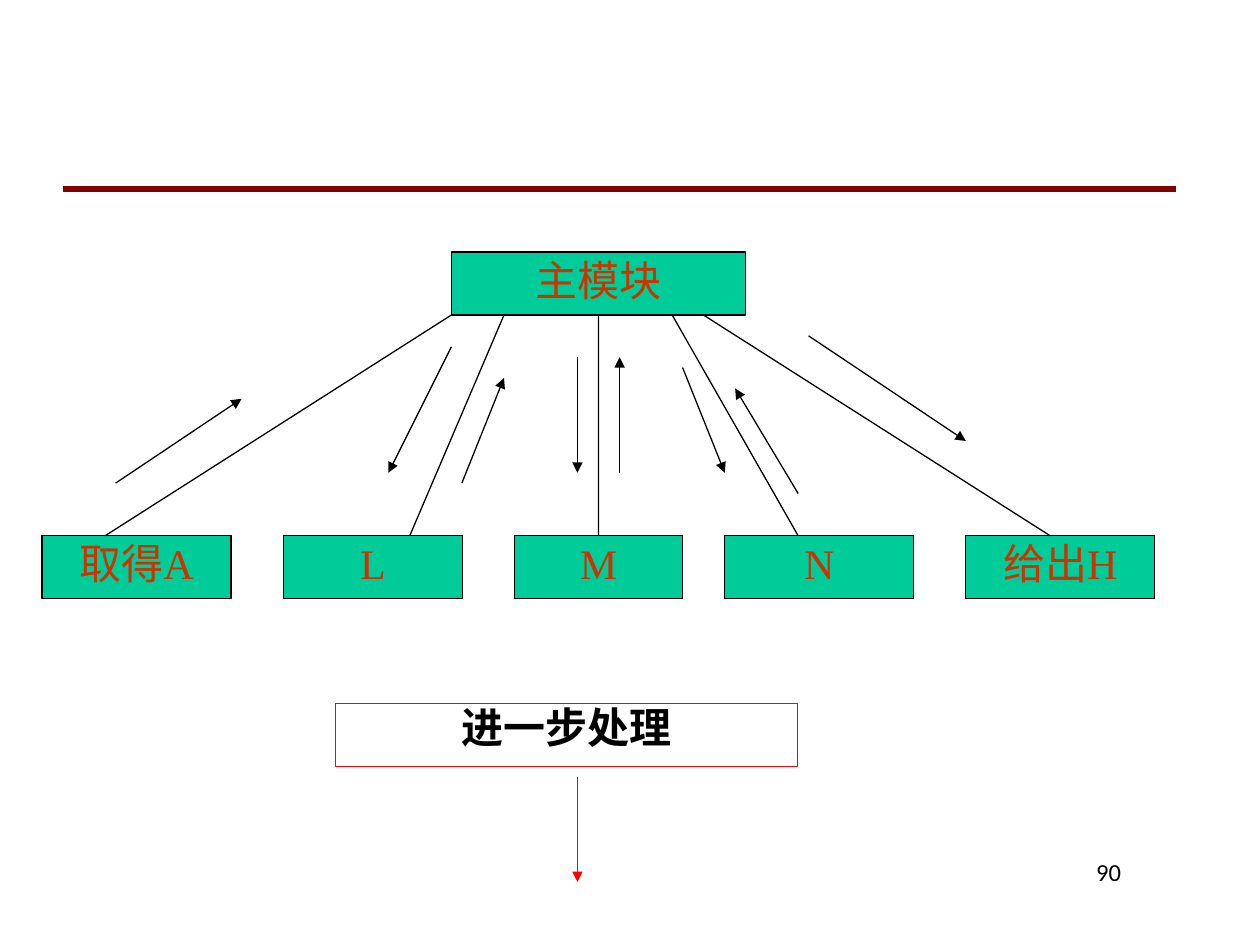
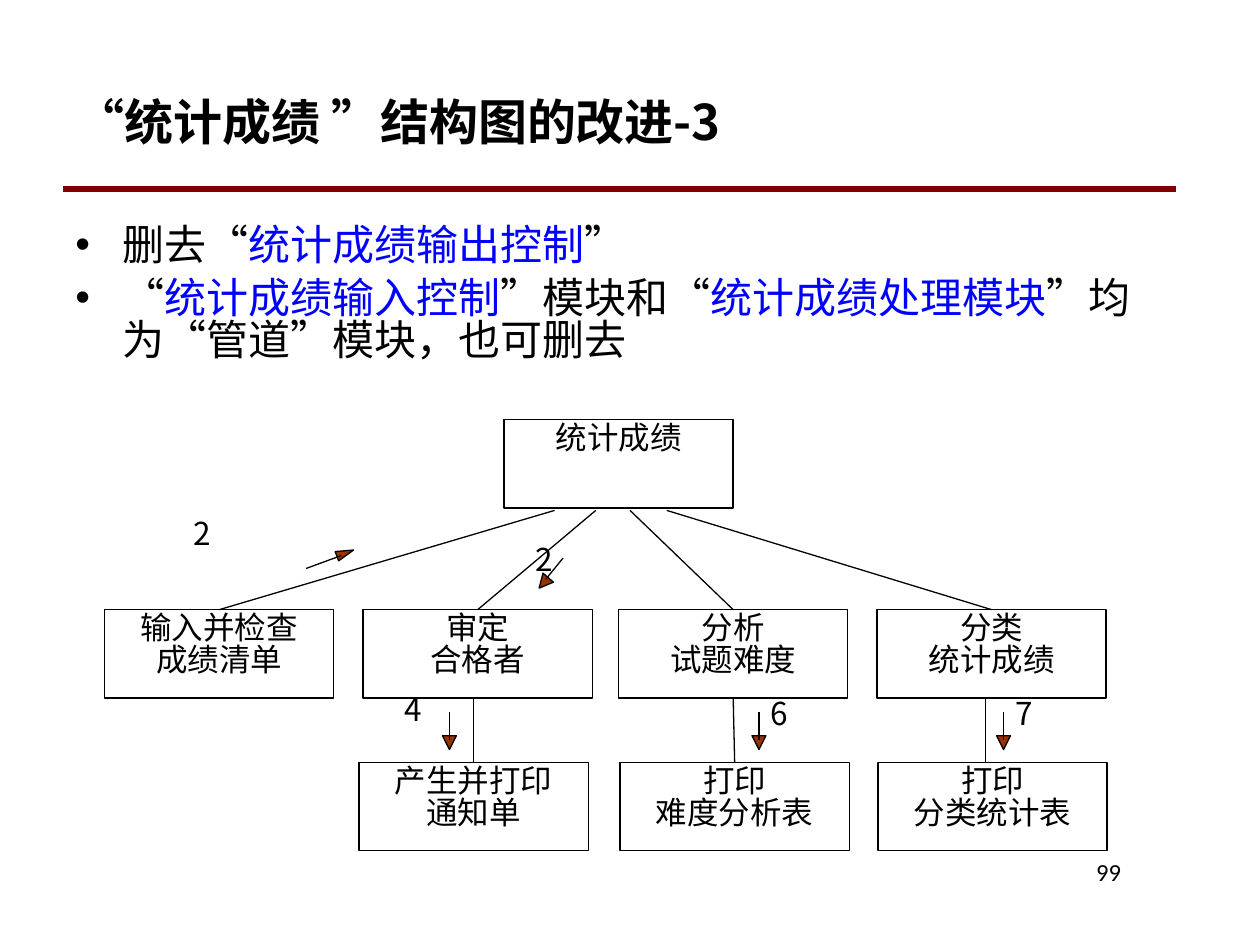
from lxml import etree
from pptx import Presentation
from pptx.dml.color import RGBColor
from pptx.enum import shapes, text
from pptx.oxml.ns import qn
from pptx.util import Cm, Pt

CJK, SERIF, SANS = "Noto Sans CJK SC", "Times New Roman", "Calibri"
BLACK, RED, BLUE = "000000", "FF0000", "0000FF"
RECT = shapes.MSO_SHAPE.RECTANGLE
TRIANGLE = shapes.MSO_SHAPE.ISOSCELES_TRIANGLE
CENTER, LEFT, RIGHT = text.PP_ALIGN.CENTER, text.PP_ALIGN.LEFT, text.PP_ALIGN.RIGHT
TOP, MIDDLE = text.MSO_ANCHOR.TOP, text.MSO_ANCHOR.MIDDLE
rgb = RGBColor.from_string


def box(s, words, x, y, w, h, size=18, font=SERIF, colour=BLACK, kind=RECT, fill=None,
        line=BLACK, bold=False, align=CENTER, anchor=TOP, inset=(0.05, 0.1)):
    """Add a preset shape, or a text box when kind is None, with its text."""
    place = Cm(x), Cm(y), Cm(w), Cm(h)
    if kind is None:
        sp = s.shapes.add_textbox(*place)
    else:
        sp = s.shapes.add_shape(kind, *place)
        sp.shadow.inherit = False
        sp.line.color.rgb = rgb(line)
        sp.line.width = Pt(0.75)
        if fill:
            sp.fill.solid()
            sp.fill.fore_color.rgb = rgb(fill)
        else:
            sp.fill.background()
    tf = sp.text_frame
    tf.word_wrap = True
    tf.vertical_anchor = anchor
    tf.margin_left = tf.margin_right = Cm(inset[0])
    tf.margin_top = tf.margin_bottom = Cm(inset[1])
    tf.text = words
    for p in tf.paragraphs:
        p.alignment = align
        for r in p.runs:
            r.font.size, r.font.name, r.font.bold = Pt(size), font, bold
            r.font.color.rgb = rgb(colour)
    return sp


def connect(s, x1, y1, x2, y2, colour=BLACK, width=0.75, arrow=False):
    c = s.shapes.add_connector(shapes.MSO_CONNECTOR.STRAIGHT, Cm(x1), Cm(y1), Cm(x2), Cm(y2))
    c.line.color.rgb = rgb(colour)
    c.line.width = Pt(width)
    if arrow:
        etree.SubElement(c.line._get_or_add_ln(), qn("a:tailEnd"), type="triangle")
    etree.SubElement(c._element.spPr, qn("a:effectLst"))
    return c


prs = Presentation()
prs.slide_width, prs.slide_height = Cm(25.4), Cm(19.05)
wide = (0.25, 0.13)

# Slide 1: main module with its five submodules
s = prs.slides.add_slide(prs.slide_layouts[6])
module = dict(h=1.27, size=24, colour="CC3300", fill="00CC99", anchor=MIDDLE, inset=wide)
main = box(s, "主模块", 9.1, 5.08, 5.93, **module)
submodules = [  # name, left, width, link start, link end
    ("取得A", 0.85, 3.81, 9.1, 2.12),
    ("L", 5.72, 3.6, 10.16, 8.26),
    ("M", 10.37, 3.39, 12.07, 12.07),
    ("N", 14.61, 3.81, 13.55, 16.09),
    ("给出H", 19.47, 3.81, 14.18, 21.17),
]
for name, x, w, x1, x2 in submodules:
    sub = box(s, name, x, 10.8, w, **module)
    link = connect(s, x1, 6.35, x2, 10.8)
    if name == "M":
        link.begin_connect(main, 2)
        link.end_connect(sub, 0)

data_flows = [
    (2.33, 9.74, 4.87, 8.04), (9.1, 6.99, 7.83, 9.53), (9.31, 9.74, 10.16, 7.62),
    (11.64, 7.2, 11.64, 9.53), (12.49, 9.53, 12.49, 7.2), (13.76, 7.41, 14.61, 9.53),
    (16.09, 9.95, 14.82, 7.83), (16.3, 6.77, 19.47, 8.89),
]
for ends in data_flows:
    connect(s, *ends, arrow=True)

box(s, "进一步处理", 6.77, 14.18, 9.31, 1.27, 24, line=RED, bold=True, inset=wide)
connect(s, 11.64, 15.66, 11.64, 17.78, RED, arrow=True)

# Slide 2: improved structure chart
s = prs.slides.add_slide(prs.slide_layouts[5])
title = s.shapes.title
title.left, title.top, title.width, title.height = Cm(1.27), Cm(1.27), Cm(22.44), Cm(2.54)
tf = title.text_frame
tf.text = "“统计成绩 ”结构图的改进-3"
tf.auto_size = text.MSO_AUTO_SIZE.NONE
tf.vertical_anchor = MIDDLE
p = tf.paragraphs[0]
p.alignment = LEFT
font = p.runs[0].font
font.size, font.name, font.bold = Pt(28), CJK, True
font.color.rgb = rgb(BLACK)

bullets = [
    [("删去“", BLACK), ("统计成绩输出控制", BLUE), ("”", BLACK)],
    [("“", BLACK), ("统计成绩输入控制", BLUE), ("”模块和“", BLACK),
     ("统计成绩处理模块", BLUE), ("”均为“管道”模块，也可删去", BLACK)],
]
tf = s.shapes.add_textbox(Cm(1.27), Cm(4.45), Cm(23.07), Cm(12.27)).text_frame
tf.word_wrap = True
for i, parts in enumerate(bullets):
    p = tf.add_paragraph() if i else tf.paragraphs[0]
    pPr = p._p.get_or_add_pPr()
    pPr.set("marL", str(Cm(0.95)))
    pPr.set("indent", str(-Cm(0.95)))
    etree.SubElement(pPr, qn("a:buFont"), typeface="Arial")
    etree.SubElement(pPr, qn("a:buChar"), char="•")
    if i:
        p.space_before = Pt(6)
    for words, colour in parts:
        r = p.add_run()
        r.text = words
        r.font.size, r.font.name = Pt(24), SANS
        r.font.color.rgb = rgb(colour)

box_w, box_h = 4.62, 1.78
box(s, "统计成绩", 10.16, 8.46, box_w, box_h)
tasks = [  # name, left, link start
    ("输入并检查\n成绩清单", 2.11, 11.18),
    ("审定\n合格者", 7.32, 12.01),
    ("分析\n试题难度", 12.47, 12.7),
    ("分类\n统计成绩", 17.68, 13.44),
]
for name, x, x1 in tasks:
    task = box(s, name, x, 12.29, box_w, box_h)
    connect(s, x1, 10.29, x + box_w / 2, 12.29).end_connect(task, 0)

outputs = [  # name, left, link position, whether the link meets the middle
    ("产生并打印\n通知单", 7.24, 9.55, True),
    ("打印\n难度分析表", 12.5, 14.78, True),
    ("打印\n分类统计表", 17.7, 19.86, False),
]
for name, x, link_x, joined in outputs:
    output = box(s, name, x, 15.37, box_w, box_h)
    link = connect(s, link_x, 14.07, link_x, 15.37)
    if joined:
        link.end_connect(output, 0)

flow_arrows = [  # head left, top, width, height, rotation, shaft ends
    (6.86, 10.97, 0.2, 0.36, 69.6, (6.88, 11.2, 6.17, 11.46)),
    (10.82, 11.61, 0.28, 0.28, 220.9, (11, 11.68, 11.35, 11.25)),
]
for x in (8.92, 15.16, 20.09):
    flow_arrows.append((x, 14.83, 0.28, 0.28, 180, (x + 0.14, 14.91, x + 0.14, 14.35)))
for x, y, w, h, rotation, shaft in flow_arrows:
    box(s, "", x, y, w, h, kind=TRIANGLE, fill="993300").rotation = rotation
    connect(s, *shaft)

flow_labels = [("2", 3.81, 10.39), ("2", 10.69, 10.9), ("4", 8.05, 13.94),
               ("6", 15.44, 14.02), ("7", 20.37, 14.02)]
for label, x, y in flow_labels:
    box(s, label, x, y, 1.2, 1.42, font=CJK, kind=None, align=LEFT, inset=(0.1, 0.1))

# Shared: East Asian font, line spacing, rule and page number
for s, number in zip(prs.slides, ("90", "99")):
    for sp in s.shapes:
        if sp.has_text_frame:
            for p in sp.text_frame.paragraphs:
                p.line_spacing = 0.84
                for r in p.runs:
                    etree.SubElement(r._r.get_or_add_rPr(), qn("a:ea"), typeface=CJK)
    connect(s, 1.27, 3.81, 23.71, 3.81, "800000", 3)
    box(s, number, 19.25, 17.15, 3.6, 1.27, 14, SANS, kind=None, align=RIGHT, inset=wide)

prs.save("out.pptx")
